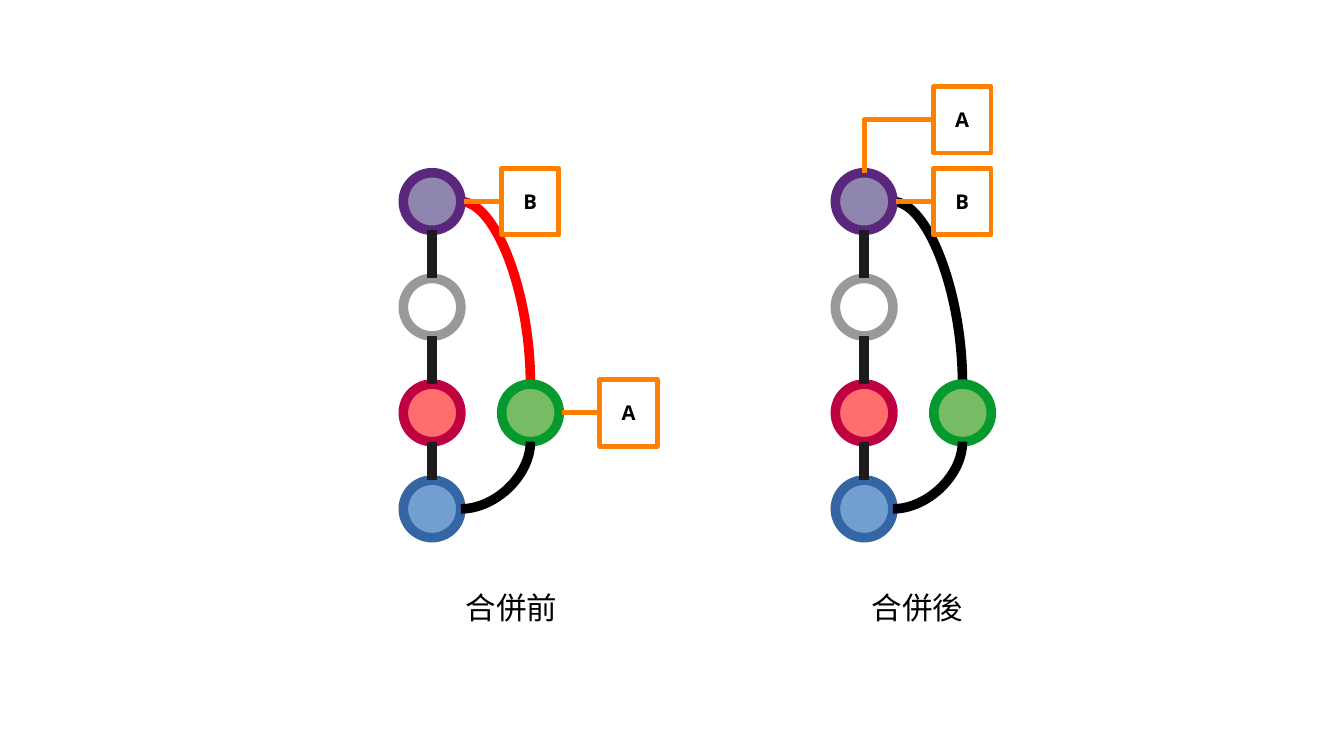
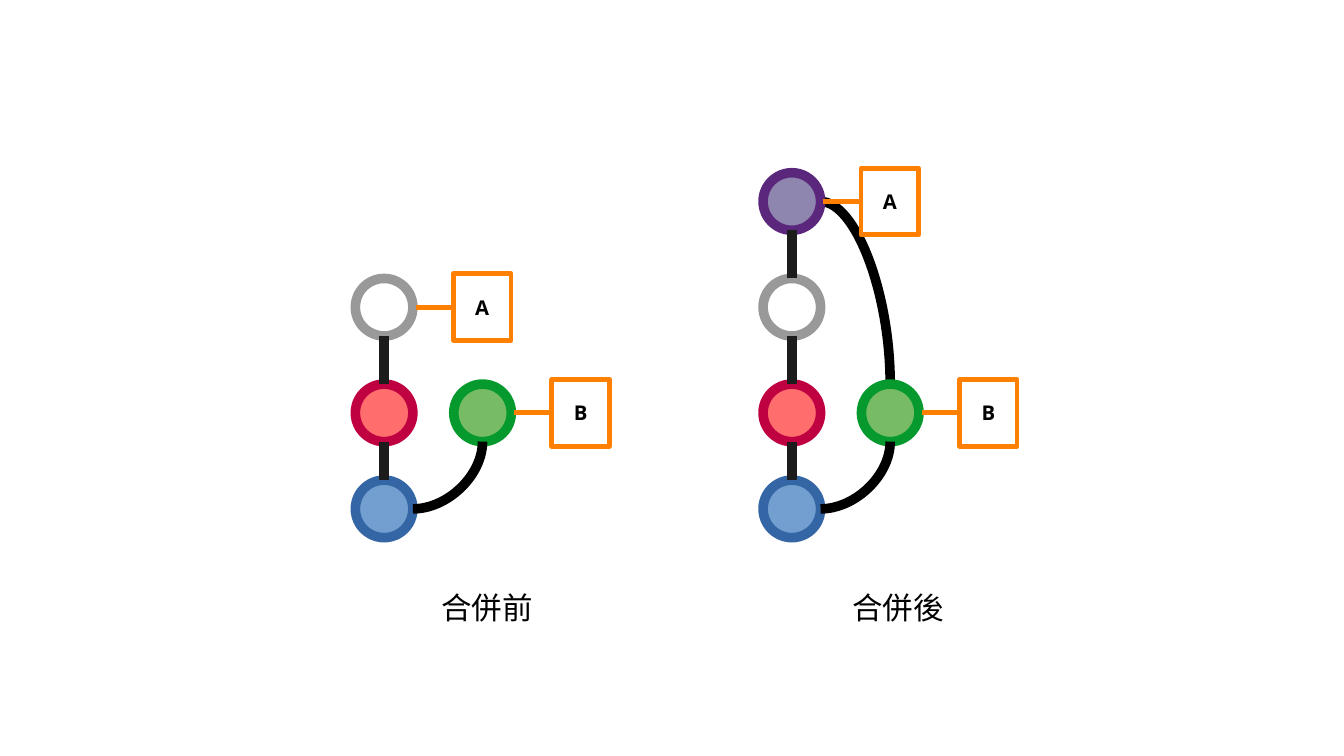
import pptx
import pptx.util
import pptx.dml.color
import pptx.enum.shapes
import pptx.enum.text
import pptx.oxml.ns
from lxml import etree

Pt = pptx.util.Pt
RGB = pptx.dml.color.RGBColor
SHAPE = pptx.enum.shapes.MSO_SHAPE
LINK = pptx.enum.shapes.MSO_CONNECTOR
TEXT = pptx.enum.text

BLACK = RGB(0x00, 0x00, 0x00)
WHITE = RGB(0xFF, 0xFF, 0xFF)
CHAR = RGB(0x1C, 0x1C, 0x1C)
RED = RGB(0xFF, 0x00, 0x00)
ORANGE = RGB(0xFF, 0x80, 0x00)

# Commit: centre y, fill, ring
ROWS = {
    "merge": (119, RGB(0x8E, 0x86, 0xAE), RGB(0x5B, 0x27, 0x7D)),
    "white": (181.4, WHITE, RGB(0x99, 0x99, 0x99)),
    "pink": (243.8, RGB(0xFF, 0x6D, 0x6D), RGB(0xBF, 0x00, 0x41)),
    "base": (300.5, RGB(0x72, 0x9F, 0xCF), RGB(0x34, 0x65, 0xA4)),
    "side": (243.8, RGB(0x77, 0xBC, 0x65), RGB(0x06, 0x9A, 0x2E)),
}
TRUNK = ["merge", "white", "pink", "base"]

SIZE = 34      # node diameter and tag width
RAD = SIZE / 2
TALL = 39.4    # tag height
SHIFT = 58.1   # from trunk to side branch
REACH = 40.9   # from node centre to tag
HIGH = 70.7    # centre of a tag above the top node
BOLD = 5.67
THIN = 2.83


class Deck:
    def __init__(self):
        self.prs = pptx.Presentation()
        self.prs.slide_width = Pt(793.5)
        self.prs.slide_height = Pt(446.4)

    def page(self):
        blank = self.prs.slide_layouts[6]
        self.shapes = self.prs.slides.add_slide(blank).shapes

    def box(self, kind, x, y, w, h, fill, edge, width):
        shape = self.shapes.add_shape(kind, Pt(x), Pt(y), Pt(w), Pt(h))
        shape.shadow.inherit = False
        shape.fill.solid()
        shape.fill.fore_color.rgb = fill
        shape.line.color.rgb = edge
        shape.line.width = Pt(width)
        return shape

    def line(self, start, end, color, width, preset=None):
        """Draw a line; a preset names a one-bend connector that starts level."""
        kind = LINK.ELBOW if preset else LINK.STRAIGHT
        link = self.shapes.add_connector(kind, *map(Pt, start + end))
        link.line.color.rgb = color
        link.line.width = Pt(width)
        props = link._element.spPr
        etree.SubElement(props, pptx.oxml.ns.qn("a:effectLst"))
        if preset:
            props.find(pptx.oxml.ns.qn("a:prstGeom")).set("prst", preset)
        return link

    def words(self, frame, text, size, font, bold=False):
        frame.vertical_anchor = TEXT.MSO_ANCHOR.MIDDLE
        para = frame.paragraphs[0]
        para.alignment = TEXT.PP_ALIGN.CENTER
        run = para.add_run()
        run.text = text
        run.font.size = Pt(size)
        run.font.bold = bold
        run.font.color.rgb = BLACK
        run.font.name = font
        props = run._r.get_or_add_rPr()
        east = etree.SubElement(props, pptx.oxml.ns.qn("a:ea"))
        east.set("typeface", font)

    def node(self, name, x):
        y, fill, ring = ROWS[name]
        self.box(SHAPE.OVAL, x - RAD, y - RAD, SIZE, SIZE, fill, ring, BOLD)

    def label(self, text, x, y):
        tag = self.box(SHAPE.RECTANGLE, x, y - TALL / 2, SIZE, TALL,
                       WHITE, ORANGE, THIN)
        frame = tag.text_frame
        frame.word_wrap = False
        frame.margin_left = frame.margin_right = Pt(8.5)
        frame.margin_top = frame.margin_bottom = Pt(5)
        self.words(frame, text, 12, "Noto Sans", True)
        return tag

    def tag(self, text, x, y):
        """Label the node centred at x, y from its right side."""
        label = self.label(text, x + REACH, y)
        link = self.line((x + RAD + 1.6, y), (x + REACH, y), ORANGE, THIN)
        link.end_connect(label, 1)

    def above(self, text, x):
        """Label the top node from above, with a bent line."""
        self.label(text, x + REACH, HIGH)
        top = ROWS["merge"][0] - RAD
        self.line((x + REACH, HIGH), (x, top), ORANGE, THIN, "bentConnector2")

    def graph(self, x, tags, arc=None):
        """Draw a commit graph; arc colours the merge link, None has no merge."""
        side = x + SHIFT
        trunk = TRUNK if arc is not None else TRUNK[1:]
        mid = ROWS["side"][0]
        if arc is not None:
            self.line((x + RAD, ROWS["merge"][0]), (side, mid - RAD),
                      arc, BOLD, "curvedConnector2")
        for name in trunk:
            self.node(name, x)
        self.node("side", side)
        for upper, lower in zip(trunk, trunk[1:]):
            self.line((x, ROWS[lower][0] - RAD), (x, ROWS[upper][0] + RAD),
                      CHAR, BOLD)
        self.line((x + RAD, ROWS["base"][0]), (side, mid + RAD),
                  BLACK, BOLD, "curvedConnector2")
        for name, text in tags.items():
            self.tag(text, side if name == "side" else x, ROWS[name][0])

    def caption(self, text, x):
        area = self.shapes.add_textbox(Pt(x), Pt(328.3), Pt(113), Pt(60.5))
        area.text_frame.word_wrap = True
        self.words(area.text_frame, text, 18, "Noto Sans CJK TC")


def main():
    deck = Deck()

    deck.page()
    deck.graph(255.1, {"merge": "B", "side": "A"}, RED)
    deck.caption("合併前", 245.5)
    deck.graph(510.2, {"merge": "B"}, BLACK)
    deck.above("A", 510.2)
    deck.caption("合併後", 485.3)

    deck.page()
    deck.graph(226.8, {"white": "A", "side": "B"})
    deck.caption("合併前", 231.1)
    deck.graph(467.5, {"merge": "A", "side": "B"}, BLACK)
    deck.caption("合併後", 473.8)

    deck.prs.save("out.pptx")


if __name__ == "__main__":
    main()
